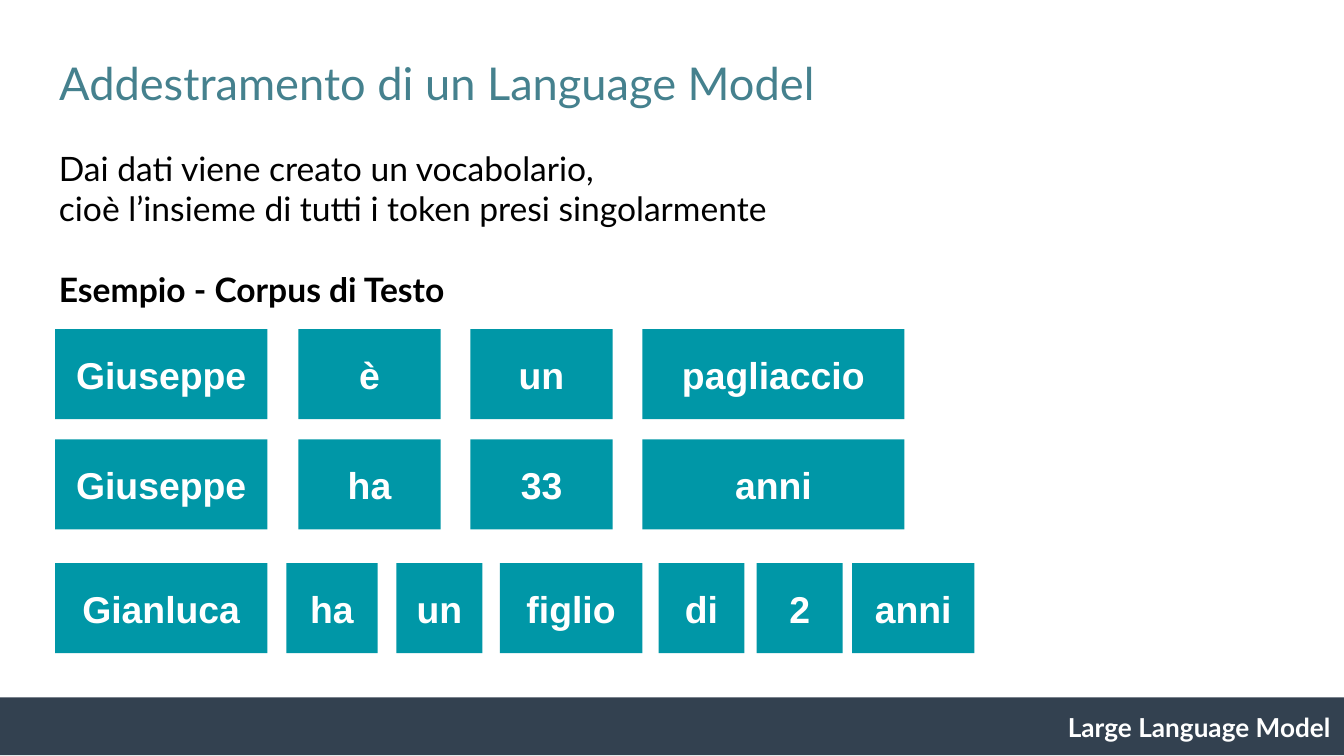
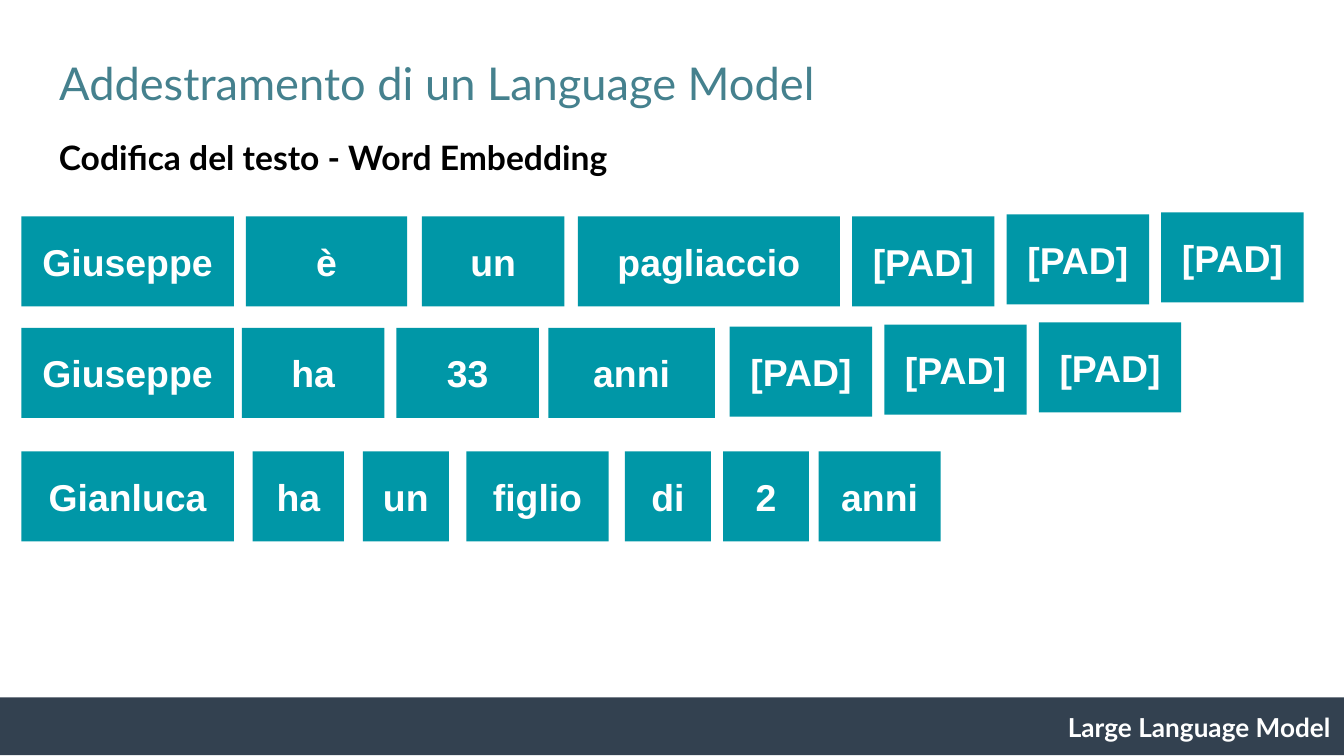
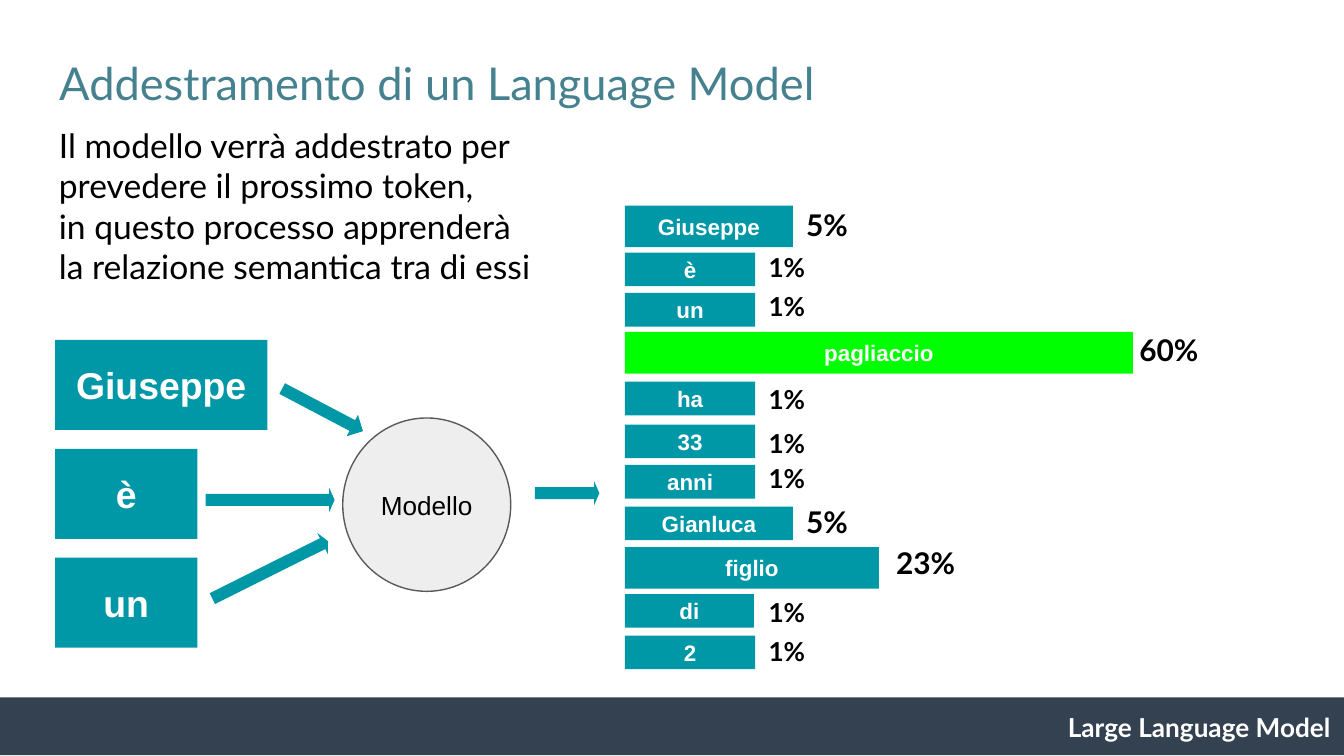
from dataclasses import dataclass

from pptx import Presentation
from pptx.dml.color import RGBColor
from pptx.enum.shapes import MSO_SHAPE
from pptx.enum.text import MSO_ANCHOR, MSO_AUTO_SIZE, PP_ALIGN
from pptx.util import Inches, Pt


@dataclass(frozen=True)
class Theme:
    heading: str = "45818E"
    ink: str = "000000"
    white: str = "FFFFFF"
    band: str = "334150"
    token: str = "0097A7"
    winner: str = "00FF00"
    model: str = "EEEEEE"
    outline: str = "595959"
    text_font: str = "Lato"
    token_font: str = "Arial"
    title_size: float = 24.2
    body_size: float = 18
    token_size: float = 20
    bar_size: float = 12
    small_size: float = 14
    percent_size: float = 16


THEME = Theme()


def write(frame, lines, size, color, font=THEME.text_font, bold=False,
          align=PP_ALIGN.LEFT, anchor=MSO_ANCHOR.TOP):
    """Fill a text frame, one paragraph for each line."""
    frame.word_wrap = True
    frame.auto_size = MSO_AUTO_SIZE.NONE
    frame.vertical_anchor = anchor
    frame.margin_left = frame.margin_right = Inches(0.1)
    frame.margin_top = frame.margin_bottom = Inches(0.1)
    for number, line in enumerate(lines):
        paragraph = frame.add_paragraph() if number else frame.paragraphs[0]
        paragraph.alignment = align
        run = paragraph.add_run()
        run.text = line
        run.font.size = Pt(size)
        run.font.name = font
        run.font.bold = bold
        run.font.color.rgb = RGBColor.from_string(color)


def add_block(slide, box, fill=THEME.token, word=None, size=THEME.token_size,
              color=THEME.white, bold=True, kind=MSO_SHAPE.RECTANGLE):
    """Add a flat filled shape with an optional centred word."""
    block = slide.shapes.add_shape(kind, *map(Inches, box))
    block.shadow.inherit = False
    block.fill.solid()
    block.fill.fore_color.rgb = RGBColor.from_string(fill)
    block.line.fill.background()
    if word:
        write(block.text_frame, [word], size, color, THEME.token_font, bold,
              PP_ALIGN.CENTER, MSO_ANCHOR.MIDDLE)
    return block


deck = Presentation()
deck.slide_width = Inches(10)
deck.slide_height = deck.slide_width * 9 // 16

# Title, intro and footer band of every slide:
# title width, intro top, intro width, bold, lines
intros = [
    (9.32, 1, 8.36, False, ["Dai dati viene creato un vocabolario,",
                            "cioè l’insieme di tutti i token presi singolarmente",
                            "Esempio - Corpus di Testo"]),
    (9.32, 0.92, 8.36, True, ["Codifica del testo - Word Embedding"]),
    (6.19, 0.83, 4.31, False, ["Il modello verrà addestrato per",
                               "prevedere il prossimo token,",
                               "in questo processo apprenderà",
                               "la relazione semantica tra di essi"]),
]
for title_width, top, width, bold, lines in intros:
    slide = deck.slides.add_slide(deck.slide_layouts[5])
    title = slide.shapes.title
    title.left, title.top = Inches(0.34), Inches(0.31)
    title.width, title.height = Inches(title_width), Inches(0.63)
    write(title.text_frame, ["Addestramento di un Language Model"],
          THEME.title_size, THEME.heading)
    add_block(slide, (-0.02, 5.19, 10.02, 0.43), THEME.band)
    footer = slide.shapes.add_textbox(Inches(5.75), Inches(5.19), Inches(4.25), Inches(0.44))
    write(footer.text_frame, ["Large Language Model"], THEME.small_size,
          THEME.white, bold=True, align=PP_ALIGN.RIGHT)
    intro = slide.shapes.add_textbox(Inches(0.34), Inches(top), Inches(width), Inches(0.55))
    write(intro.text_frame, lines, THEME.body_size, THEME.ink, bold=bold)
    if lines[-1].startswith("Esempio"):
        example = intro.text_frame.paragraphs[-1]
        example.space_before = Pt(21.6)
        example.runs[0].font.bold = True

corpus, embedding, prediction = deck.slides
token_height = 0.67

# Sentences as token rows: slide, left, top, (word, offset from left, width)
gianluca = [("Gianluca", 0, 1.58), ("ha", 1.72, 0.68), ("un", 2.54, 0.64),
            ("figlio", 3.31, 1.06), ("di", 4.49, 0.64), ("2", 5.22, 0.64),
            ("anni", 5.93, 0.91)]
sentences = [
    (corpus, 0.41, 2.45, [("Giuseppe", 0, 1.58), ("è", 1.81, 1.06),
                          ("un", 3.09, 1.06), ("pagliaccio", 4.37, 1.95)]),
    (corpus, 0.41, 3.27, [("Giuseppe", 0, 1.58), ("ha", 1.81, 1.06),
                          ("33", 3.09, 1.06), ("anni", 4.37, 1.95)]),
    (corpus, 0.41, 4.19, gianluca),
    (embedding, 0.16, 1.61, [("Giuseppe", 0, 1.58), ("è", 1.67, 1.2),
                             ("un", 2.98, 1.06), ("pagliaccio", 4.14, 1.95)]),
    (embedding, 0.16, 2.44, [("Giuseppe", 0, 1.58), ("ha", 1.64, 1.06),
                             ("33", 2.79, 1.06), ("anni", 3.92, 1.24)]),
    (embedding, 0.16, 3.36, gianluca),
]
for slide, left, top, tokens in sentences:
    for word, offset, width in tokens:
        add_block(slide, (left + offset, top, width, token_height), word=word)

# Padding tokens rise slightly along each row
for left, top in [(6.34, 1.61), (5.43, 2.43)]:
    for step in range(3):
        box = (left + 1.15 * step, top - 0.03 * step / 2, 1.06, token_height)
        add_block(embedding, box, word="[PAD]")

# Input tokens of the model
for row, (word, width) in enumerate([("Giuseppe", 1.58), ("è", 1.06), ("un", 1.06)]):
    add_block(prediction, (0.41, 2.53 + 0.81 * row, width, token_height), word=word)

# Predicted tokens: word, top, width, height, percent, percent left and top
predictions = [
    ("Giuseppe", 1.53, 1.25, 0.31, 5, 5.9, 1.44),
    ("è", 1.88, 0.97, 0.25, 1, 5.62, 1.77),
    ("un", 2.18, 0.97, 0.25, 1, 5.62, 2.06),
    ("pagliaccio", 2.47, 3.78, 0.31, 60, 8.38, 2.37),
    ("ha", 2.84, 0.97, 0.25, 1, 5.62, 2.75),
    ("33", 3.16, 0.97, 0.25, 1, 5.62, 3.08),
    ("anni", 3.46, 0.97, 0.25, 1, 5.62, 3.34),
    ("Gianluca", 3.77, 1.25, 0.25, 5, 5.9, 3.65),
    ("figlio", 4.07, 1.89, 0.31, 23, 6.57, 3.95),
    ("di", 4.42, 0.96, 0.25, 1, 5.62, 4.34),
    ("2", 4.73, 0.97, 0.25, 1, 5.62, 4.63),
]
best = max(row[4] for row in predictions)
for word, top, width, height, percent, percent_left, percent_top in predictions:
    fill = THEME.winner if percent == best else THEME.token
    add_block(prediction, (4.65, top, width, height), fill, word, THEME.bar_size)
    size, label_height = (THEME.percent_size, 0.55) if percent > 1 else (THEME.small_size, 0.31)
    label = prediction.shapes.add_textbox(Inches(percent_left), Inches(percent_top),
                                          Inches(0.96), Inches(label_height))
    write(label.text_frame, [f"{percent}%"], size, THEME.ink, bold=True)

model = add_block(prediction, (2.55, 3.11, 1.25, 1.29), THEME.model, "Modello",
                  THEME.small_size, THEME.ink, False, MSO_SHAPE.OVAL)
model.line.color.rgb = RGBColor.from_string(THEME.outline)
model.line.width = Pt(0.75)

# Arrows into and out of the model: left, top, width, rotation, head length
for left, top, width, rotation, head in [(2.06, 2.96, 0.68, 27.8, 0.5),
                                         (1.53, 4.15, 0.96, 333.5, 0.24),
                                         (1.53, 3.63, 0.96, 0, 0.22),
                                         (3.98, 3.58, 0.48, 0, 0.22)]:
    arrow = add_block(prediction, (left, top, width, 0.18), kind=MSO_SHAPE.RIGHT_ARROW)
    arrow.rotation = rotation
    arrow.adjustments[1] = head

deck.save("out.pptx")
